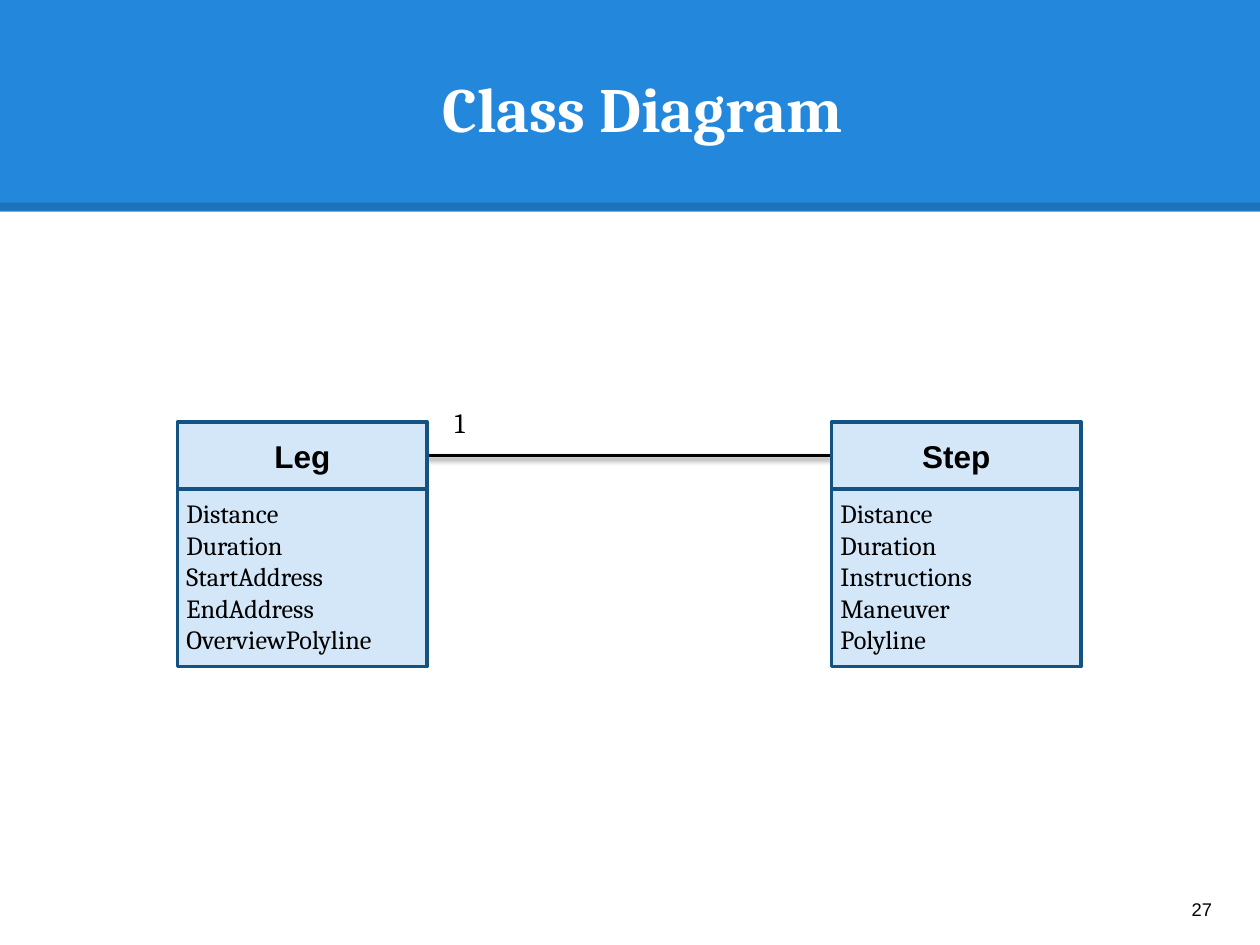
from lxml.etree import SubElement
from pptx import Presentation
from pptx.dml.color import RGBColor
from pptx.enum.shapes import MSO_CONNECTOR, MSO_SHAPE
from pptx.enum.text import MSO_ANCHOR, MSO_AUTO_SIZE, PP_ALIGN
from pptx.oxml.ns import qn
from pptx.util import Inches, Pt

COLORS = {"banner": "2388DB", "box": "D3E7F8", "border": "155284",
          "ink": "000000", "title": "FFFFFF"}
COLORS = {part: RGBColor.from_string(value) for part, value in COLORS.items()}

# The slide is a grid of 100 columns by 75 rows.
COLUMNS, ROWS = 100, 75
prs = Presentation()
prs.slide_width, prs.slide_height = Inches(10), Inches(7.5)
COL, ROW = prs.slide_width / COLUMNS, prs.slide_height / ROWS
slide = prs.slides.add_slide(prs.slide_layouts[6])
shapes = slide.shapes


def write(shape, lines, size, font="Cambria", color="ink", bold=False,
          align=PP_ALIGN.LEFT, anchor=MSO_ANCHOR.TOP, inset=None):
    """Fill a shape with one paragraph per line, all in one style."""
    frame = shape.text_frame
    frame.word_wrap = True
    frame.vertical_anchor = anchor
    if inset is not None:
        frame.margin_left = frame.margin_right = Inches(inset)
        frame.margin_top = frame.margin_bottom = Inches(inset)
    for i, line in enumerate(lines):
        paragraph = frame.add_paragraph() if i else frame.paragraphs[0]
        paragraph.alignment = align
        run = paragraph.add_run()
        run.text = line
        run.font.name, run.font.size, run.font.bold = font, Pt(size), bold
        run.font.color.rgb = COLORS[color]


def add_rule(left, right, row, width):
    """Draw a horizontal black line; return it with its empty effect list."""
    y = int(row * ROW)
    rule = shapes.add_connector(MSO_CONNECTOR.STRAIGHT, int(left * COL), y,
                                int(right * COL), y)
    rule.line.color.rgb = COLORS["ink"]
    rule.line.width = Pt(width)
    properties = rule.line._get_or_add_ln().getparent()
    return rule, SubElement(properties, qn("a:effectLst"))


# Banner with a darker lower edge
banner = shapes.add_shape(MSO_SHAPE.RECTANGLE, 0, 0, prs.slide_width, int(16.8 * ROW))
banner.shadow.inherit = False
banner.fill.solid()
banner.fill.fore_color.rgb = COLORS["banner"]
banner.line.fill.background()

banner_edge, _ = add_rule(0, COLUMNS, 16.4, 4.5)
edge_color = banner_edge.line._get_or_add_ln().find(".//" + qn("a:srgbClr"))
SubElement(edge_color, qn("a:alpha"), val="15000")

page_number = shapes.add_textbox(int(93.6 * COL), int(69.3 * ROW),
                                 int(6 * COL), int(5.7 * ROW))
write(page_number, ["27"], 10.5, "Arial", anchor=MSO_ANCHOR.MIDDLE, inset=0.1)

title = shapes.add_textbox(int(2.4 * COL), int(3.3 * ROW),
                           int(97.2 * COL), int(9.2 * ROW))
write(title, ["Class Diagram"], 36, color="title", bold=True,
      align=PP_ALIGN.CENTER, anchor=MSO_ANCHOR.BOTTOM, inset=0.1)

# Classes: name, left column, attributes
CLASSES = [
    ("Step", 66, ["Distance", "Duration", "Instructions", "Maneuver", "Polyline"]),
    ("Leg", 14.1, ["Distance", "Duration", "StartAddress", "EndAddress",
                   "OverviewPolyline"]),
]
CLASS_TOP, CLASS_WIDTH, NAME_HEIGHT, ATTRIBUTES_HEIGHT = 33.5, 19.8, 5.3, 14.1
step_left, leg_left = (left for _, left, _ in CLASSES)
leg_right = leg_left + CLASS_WIDTH

# Association between the two classes, with a soft shadow below
_, effects = add_rule(leg_right, step_left, CLASS_TOP + NAME_HEIGHT / 2, 2)
shadow = SubElement(effects, qn("a:outerShdw"), blurRad=str(Pt(3.1)),
                    dist=str(Pt(1.6)), dir="5400000", rotWithShape="0")
shadow_color = SubElement(shadow, qn("a:srgbClr"), val=str(COLORS["ink"]))
SubElement(shadow_color, qn("a:alpha"), val="38000")

multiplicity = shapes.add_textbox(int((leg_right + 1.2) * COL), int(31.7 * ROW),
                                  int(4.3 * COL), int(3.7 * ROW))
write(multiplicity, ["1"], 16)
multiplicity.text_frame.word_wrap = False
multiplicity.text_frame.auto_size = MSO_AUTO_SIZE.SHAPE_TO_FIT_TEXT

name_style = {"size": 18, "font": "Arial", "bold": True,
              "align": PP_ALIGN.CENTER, "anchor": MSO_ANCHOR.MIDDLE}
for name, left, attributes in CLASSES:
    compartments = [
        (CLASS_TOP + NAME_HEIGHT, ATTRIBUTES_HEIGHT, attributes, {"size": 15}),
        (CLASS_TOP, NAME_HEIGHT, [name], name_style),
    ]
    for top, height, lines, style in compartments:
        compartment = shapes.add_shape(MSO_SHAPE.RECTANGLE, int(left * COL), int(top * ROW),
                                       int(CLASS_WIDTH * COL), int(height * ROW))
        compartment.shadow.inherit = False
        compartment.fill.solid()
        compartment.fill.fore_color.rgb = COLORS["box"]
        compartment.line.color.rgb = COLORS["border"]
        compartment.line.width = Pt(2)
        SubElement(compartment.line._get_or_add_ln(), qn("a:round"))
        write(compartment, lines, inset=0.07, **style)

prs.save("out.pptx")
